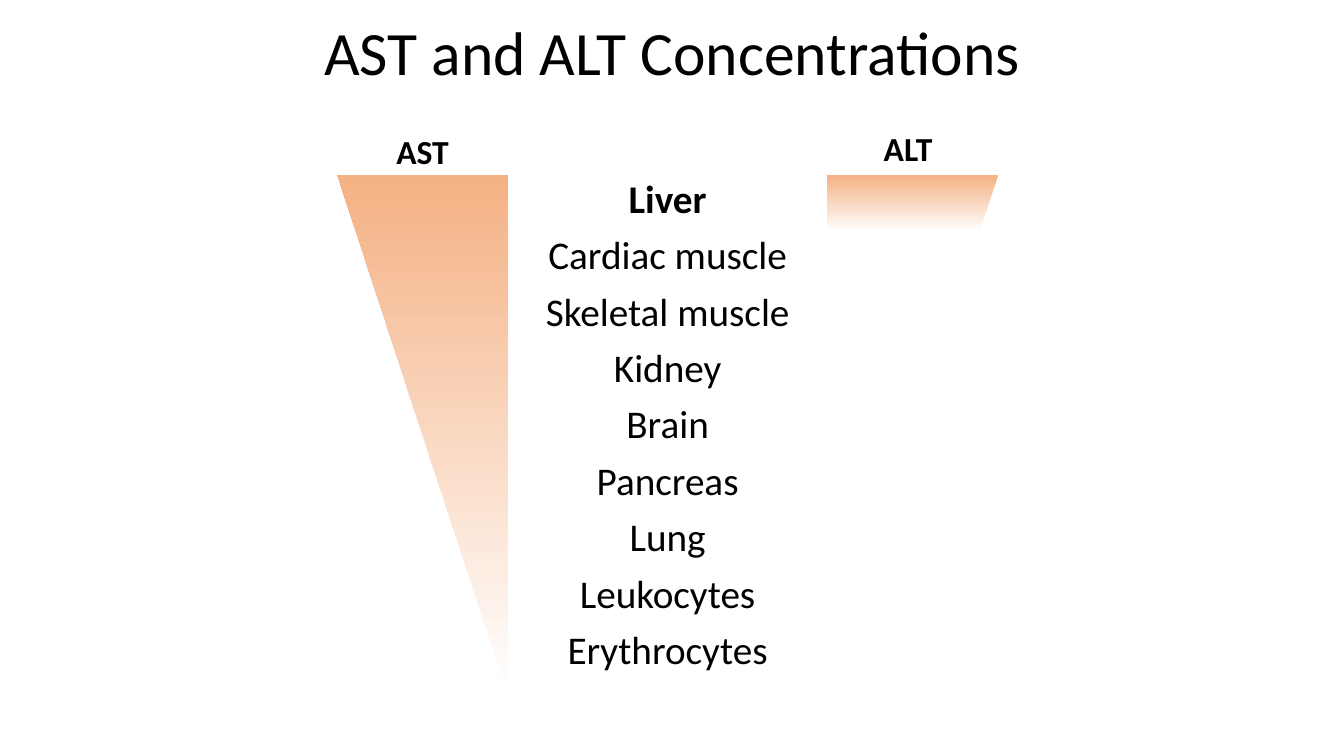
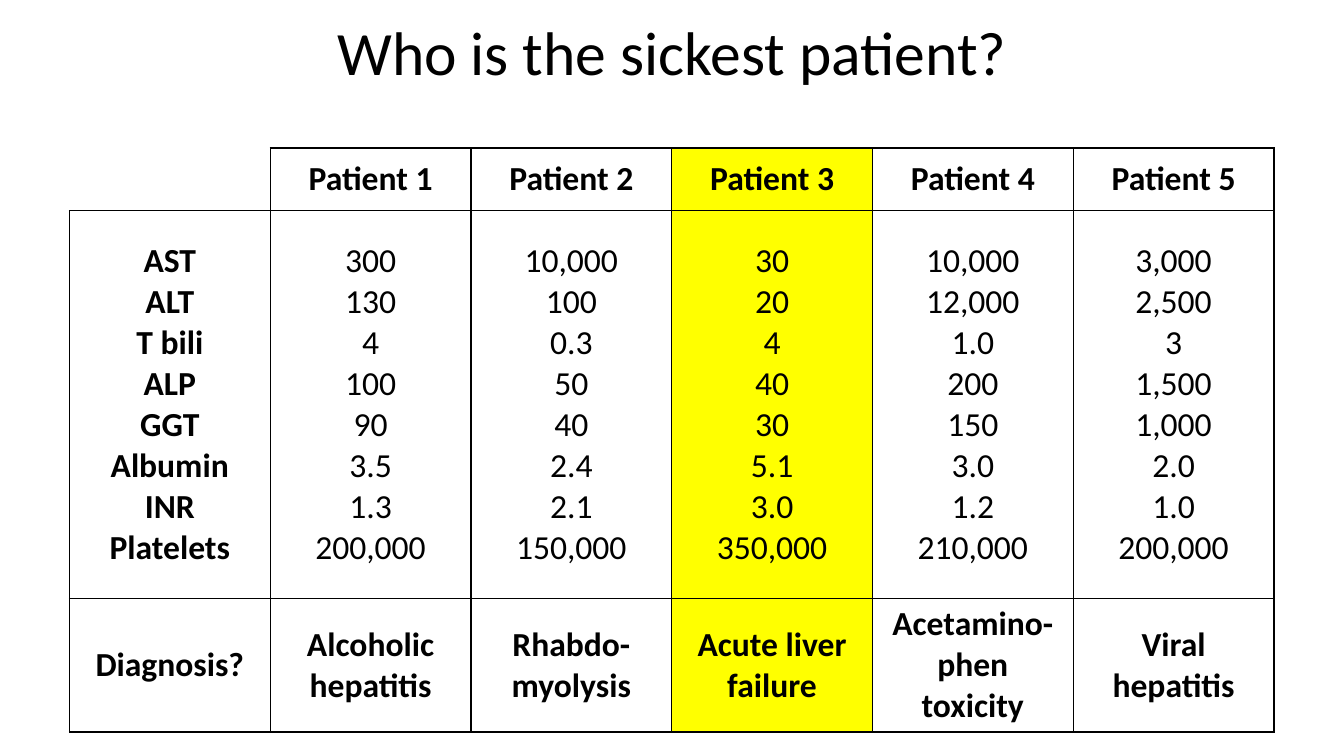
from lxml.etree import SubElement
from pptx import Presentation
from pptx.dml.color import RGBColor
from pptx.enum.shapes import MSO_SHAPE
from pptx.enum.text import MSO_ANCHOR, MSO_AUTO_SIZE, PP_ALIGN
from pptx.oxml.ns import qn
from pptx.util import Cm, Pt

BLACK = RGBColor(0x00, 0x00, 0x00)
WHITE = RGBColor(0xFF, 0xFF, 0xFF)
ORANGE = RGBColor(0xF4, 0xB1, 0x83)
YELLOW = RGBColor(0xFF, 0xFF, 0x00)

FONT = "Calibri"
TITLE_BOX = (2.34, 0, 29.21, 2.82)
TITLE_LAYOUT, BODY_LAYOUT = 5, 1
ORGAN_TOP, ORGAN_HEIGHT = 4.4, 13.1
ORGAN_LEFT, ORGAN_WIDTH = 12.8, 8.05
WEDGE_WIDTH = 4.3

ORGANS = ["Liver", "Cardiac muscle", "Skeletal muscle", "Kidney", "Brain",
          "Pancreas", "Lung", "Leukocytes", "Erythrocytes"]
TESTS = ["AST", "ALT", "T bili", "ALP", "GGT", "Albumin", "INR", "Platelets"]
PATIENTS = [
    ("Patient 1", ["300", "130", "4", "100", "90", "3.5", "1.3", "200,000"],
     "Alcoholic hepatitis"),
    ("Patient 2", ["10,000", "100", "0.3", "50", "40", "2.4", "2.1", "150,000"],
     "Rhabdo-myolysis"),
    ("Patient 3", ["30", "20", "4", "40", "30", "5.1", "3.0", "350,000"],
     "Acute liver failure"),
    ("Patient 4", ["10,000", "12,000", "1.0", "200", "150", "3.0", "1.2", "210,000"],
     "Acetamino-phen toxicity"),
    ("Patient 5", ["3,000", "2,500", "3", "1,500", "1,000", "2.0", "1.0", "200,000"],
     "Viral hepatitis"),
]
SICKEST = 3
COLUMN_WIDTH = 5.06
ROW_HEIGHTS = (1.58, 9.78, 3.35)


def apply(target, formats):
    """Set each attribute of the target from a dict."""
    for name, value in formats.items():
        setattr(target, name, value)


def place(shape, left, top, width, height):
    """Move and size a shape, in centimetres."""
    apply(shape, {"left": Cm(left), "top": Cm(top),
                  "width": Cm(width), "height": Cm(height)})


def write_lines(frame, lines, size, bold=False, spacing=1.0, gap=0):
    """Fill a text frame with one centred paragraph per line."""
    for index, line in enumerate(lines):
        para = frame.add_paragraph() if index else frame.paragraphs[0]
        apply(para, {"alignment": PP_ALIGN.CENTER, "line_spacing": spacing,
                     "space_before": Pt(gap if index else 0)})
        span = para.add_run()
        span.text = line
        apply(span.font, {"name": FONT, "size": Pt(size), "bold": bold})
        span.font.color.rgb = BLACK


def add_page(deck, layout, title):
    """Add a slide with the shared title style."""
    page = deck.slides.add_slide(deck.slide_layouts[layout])
    box = page.shapes.title
    place(box, *TITLE_BOX)
    apply(box.text_frame, {"vertical_anchor": MSO_ANCHOR.MIDDLE,
                           "auto_size": MSO_AUTO_SIZE.NONE})
    write_lines(box.text_frame, [title], 44, spacing=0.9)
    return page


def fill_organs(page):
    """Write the organ list, without bullets, in the body placeholder."""
    box = page.placeholders[1]
    place(box, ORGAN_LEFT, ORGAN_TOP, ORGAN_WIDTH, ORGAN_HEIGHT)
    frame = box.text_frame
    frame.auto_size = MSO_AUTO_SIZE.NONE
    write_lines(frame, ORGANS, 28, spacing=0.9, gap=10)
    for para in frame.paragraphs:
        properties = para._p.get_or_add_pPr()
        properties.set("marL", "0")
        properties.set("indent", "0")
        SubElement(properties, qn("a:buNone"))
    frame.paragraphs[0].runs[0].font.bold = True


def add_wedge(page, left, fade_end, mirrored=False):
    """Add a downward wedge that fades from orange to white."""
    wedge = page.shapes.add_shape(
        MSO_SHAPE.RIGHT_TRIANGLE, Cm(left), Cm(ORGAN_TOP),
        Cm(WEDGE_WIDTH), Cm(ORGAN_HEIGHT))
    wedge.rotation = 180
    wedge.shadow.inherit = False
    wedge.line.fill.background()
    wedge.fill.gradient()
    wedge.fill.gradient_angle = 270
    stops = ((fade_end, WHITE), (1, ORANGE))
    for stop, (position, color) in zip(wedge.fill.gradient_stops, stops):
        stop.position = position
        stop.color.rgb = color
    if mirrored:
        wedge._element.spPr.find(qn("a:xfrm")).set("flipH", "1")


def add_label(page, text, left, top, width):
    """Add a bold centred label."""
    box = page.shapes.add_textbox(Cm(left), Cm(top), Cm(width), Cm(1.27))
    apply(box.text_frame, {"word_wrap": True,
                           "auto_size": MSO_AUTO_SIZE.SHAPE_TO_FIT_TEXT})
    write_lines(box.text_frame, [text], 24, bold=True)


def set_borders(cell, hidden=()):
    """Draw thin black cell borders except on the hidden sides."""
    properties = cell._tc.get_or_add_tcPr()
    for index, side in enumerate(("lnL", "lnR", "lnT", "lnB")):
        line = properties.makeelement(qn(f"a:{side}"), {"w": str(Pt(1))})
        properties.insert(index, line)
        if side in hidden:
            SubElement(line, qn("a:noFill"))
        else:
            fill = SubElement(line, qn("a:solidFill"))
            SubElement(fill, qn("a:srgbClr"), val=str(BLACK))


def add_patient_table(page):
    """Add the laboratory table with the sickest patient highlighted."""
    columns = [("", TESTS, "Diagnosis?"), *PATIENTS]
    table = page.shapes.add_table(
        len(ROW_HEIGHTS), len(columns), Cm(1.75), Cm(3.73),
        Cm(COLUMN_WIDTH * len(columns)), Cm(sum(ROW_HEIGHTS))).table
    apply(table, {"first_row": False, "horz_banding": False})
    for row, height in zip(table.rows, ROW_HEIGHTS):
        row.height = Cm(height)
    for column, (heading, values, diagnosis) in enumerate(columns):
        table.columns[column].width = Cm(COLUMN_WIDTH)
        for row, lines in enumerate(([heading], values, [diagnosis])):
            cell = table.cell(row, column)
            cell.vertical_anchor = MSO_ANCHOR.MIDDLE
            cell.fill.solid()
            cell.fill.fore_color.rgb = YELLOW if column == SICKEST else WHITE
            corner = row == column == 0
            set_borders(cell, ("lnL", "lnT") if corner else ())
            if not corner:
                write_lines(cell.text_frame, lines, 24,
                            bold=row != 1 or column == 0)


def main():
    """Build and save the deck."""
    deck = Presentation()
    apply(deck, {"slide_width": Cm(33.87), "slide_height": Cm(19.05)})

    page = add_page(deck, BODY_LAYOUT, "AST and ALT Concentrations")
    fill_organs(page)
    add_wedge(page, ORGAN_LEFT - WEDGE_WIDTH, 0)
    add_label(page, "AST", 9.5, 3.18, 2.3)
    add_wedge(page, ORGAN_LEFT + ORGAN_WIDTH, 0.89, mirrored=True)
    add_label(page, "ALT", 21.92, 3.1, 1.93)

    page = add_page(deck, TITLE_LAYOUT, "Who is the sickest patient?")
    add_patient_table(page)
    deck.save("out.pptx")


if __name__ == "__main__":
    main()
